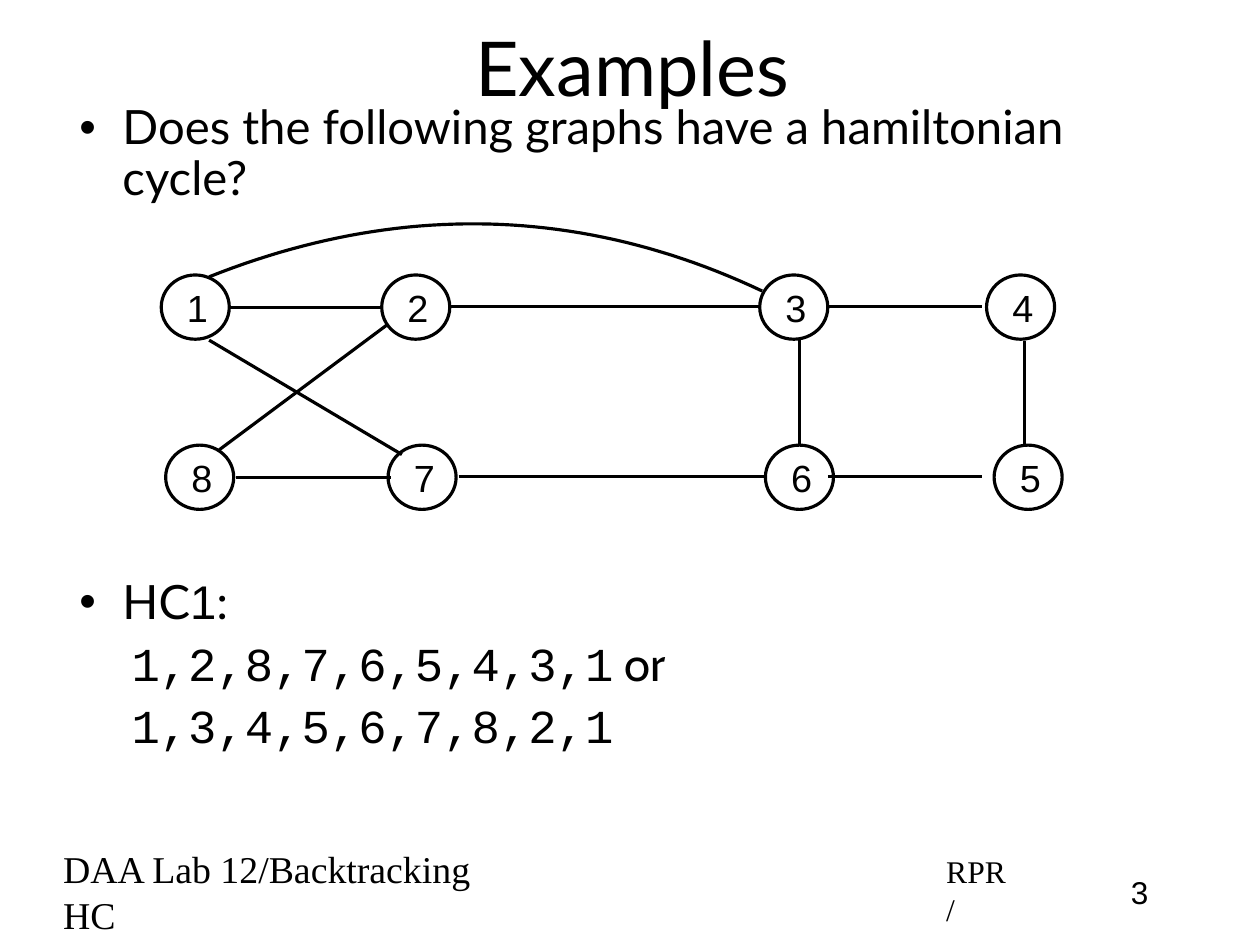
from lxml import etree
from pptx import Presentation
from pptx import util as u
from pptx.dml.color import RGBColor
from pptx.enum import shapes, text
from pptx.oxml.ns import qn

COLORS = {"ink": "000000", "paper": "FFFFFF"}
LEFT, CENTER = text.PP_ALIGN.LEFT, text.PP_ALIGN.CENTER
TOP, MIDDLE = text.MSO_ANCHOR.TOP, text.MSO_ANCHOR.MIDDLE


class GraphSlide:
    """Style and drawing methods for a slide on a grid of 100 columns by 100 rows."""

    def __init__(self, presentation):
        self.slide = presentation.slides.add_slide(presentation.slide_layouts[3])
        self.column = presentation.slide_width / 100
        self.row = presentation.slide_height / 100
        self.ink = RGBColor.from_string(COLORS["ink"])
        fill = self.slide.background.fill
        fill.solid()
        fill.fore_color.rgb = RGBColor.from_string(COLORS["paper"])

    def point(self, column, row):
        return u.Emu(round(column * self.column)), u.Emu(round(row * self.row))

    def box(self, left, top, width, height):
        return (*self.point(left, top), *self.point(width, height))

    def outline(self, shape):
        shape.line.color.rgb = self.ink
        shape.line.width = u.Pt(2)

    def frame(self, shape, anchor):
        frame = shape.text_frame
        frame.word_wrap = True
        frame.auto_size = text.MSO_AUTO_SIZE.NONE
        frame.vertical_anchor = anchor
        frame.margin_left = frame.margin_right = u.Inches(0.06)
        frame.margin_top = frame.margin_bottom = u.Inches(0.06)
        return frame

    def format_run(self, run, font, size):
        run.font.name = font
        run.font.size = u.Pt(size)
        run.font.color.rgb = self.ink

    def indent(self, paragraph, margin, first_line):
        properties = paragraph._p.get_or_add_pPr()
        properties.set("marL", str(u.Inches(margin)))
        properties.set("indent", str(u.Inches(first_line)))
        return properties

    def set_words(self, shape, words, font, size, align, anchor, margin=0.04):
        frame = self.frame(shape, anchor)
        frame.text = words
        paragraph = frame.paragraphs[0]
        paragraph.alignment = align
        self.indent(paragraph, margin, 0)
        self.format_run(paragraph.runs[0], font, size)

    def place(self, shape, box):
        shape.left, shape.top, shape.width, shape.height = self.box(*box)

    def title(self, words, box):
        shape = self.slide.shapes.title
        self.place(shape, box)
        self.set_words(shape, words, "Lato", 48, CENTER, MIDDLE)

    def bullets(self, index, box, lines):
        shape = self.slide.placeholders[index]
        self.place(shape, box)
        frame = self.frame(shape, TOP)
        for number, (level, runs) in enumerate(lines):
            paragraph = frame.add_paragraph() if number else frame.paragraphs[0]
            paragraph.level = level
            paragraph.line_spacing = 0.9
            paragraph.space_before = u.Pt(7)
            if level:
                properties = self.indent(paragraph, 0, 0.5)
                etree.SubElement(properties, qn("a:buNone"))
            else:
                self.indent(paragraph, 0.42, -0.38)
            for words, font in runs:
                run = paragraph.add_run()
                run.text = words
                self.format_run(run, font, 30)

    def label(self, words, box, font, size, align=LEFT, anchor=MIDDLE, margin=0.04):
        shape = self.slide.shapes.add_textbox(*self.box(*box))
        self.set_words(shape, words, font, size, align, anchor, margin)

    def node(self, name, column, row):
        box = self.box(column - 2.7, row - 3.4, 5.4, 6.8)
        shape = self.slide.shapes.add_shape(shapes.MSO_SHAPE.OVAL, *box)
        shape.shadow.inherit = False
        shape.fill.background()
        self.outline(shape)
        self.set_words(shape, name, "Arial", 24, CENTER, MIDDLE)

    def edge(self, start, end):
        connector = self.slide.shapes.add_connector(
            shapes.MSO_CONNECTOR.STRAIGHT, *self.point(*start), *self.point(*end))
        self.outline(connector)
        etree.SubElement(connector._element.spPr, qn("a:effectLst"))

    def curve(self, controls, steps=48):
        points = []
        for step in range(steps + 1):
            t = step / steps
            weights = ((1 - t) ** 3, 3 * t * (1 - t) ** 2, 3 * t ** 2 * (1 - t), t ** 3)
            points.append(self.point(*(
                sum(w * value for w, value in zip(weights, axis))
                for axis in zip(*controls))))
        builder = self.slide.shapes.build_freeform(*points[0])
        builder.add_line_segments(points[1:], close=False)
        shape = builder.convert_to_shape()
        shape.shadow.inherit = False
        shape.fill.background()
        self.outline(shape)


presentation = Presentation()
presentation.slide_width = u.Inches(11.11)
presentation.slide_height = u.Inches(8.33)
graph = GraphSlide(presentation)

graph.title("Examples", (7.5, 0.8, 85, 12.5))
graph.bullets(1, (5.4, 10.3, 89.1, 8.5), [
    (0, [("Does the following graphs have a hamiltonian cycle?", "Lato")]),
])

NODE_ROWS = {
    32.5: {"1": 15.5, "2": 33, "3": 63, "4": 81},
    50.5: {"8": 15.85, "7": 33.5, "6": 63.45, "5": 81.6},
}
for row, nodes in NODE_ROWS.items():
    for name, column in nodes.items():
        graph.node(name, column, row)

EDGES = [
    ((18.1, 32.5), (30.3, 32.5)),
    ((35.7, 32.4), (60.2, 32.4)),
    ((65.7, 32.4), (77.9, 32.4)),
    ((18.7, 50.5), (31, 50.5)),
    ((36.4, 50.4), (60.8, 50.4)),
    ((65.7, 50.4), (77.9, 50.4)),
    ((63.45, 35.9), (63.45, 47)),
    ((81.3, 36.1), (81.3, 47.3)),
    ((16.6, 36), (31.9, 48.1)),
    ((17.4, 47.6), (30.8, 34.3)),
]
for start, end in EDGES:
    graph.edge(start, end)
graph.curve([(16.6, 29.3), (31.5, 21.4), (46.2, 21.8), (60.5, 30.8)])

graph.bullets(2, (5.4, 60.5, 89.1, 28.8), [
    (0, [("HC", "Lato"), ("1", "Arial"), (":", "Lato")]),
    (1, [("1,2,8,7,6,5,4,3,1", "Courier New"), (" or", "Cabin")]),
    (1, [("1,3,4,5,6,7,8,2,1", "Courier New")]),
])

graph.label("DAA Lab 12/Backtracking HC", (4.1, 91.5, 37.8, 5.6), "Times New Roman", 24)
graph.label("RPR/", (74.2, 91.7, 6.6, 5), "Times New Roman", 20)
graph.label("3", (87.5, 91.7, 5.9, 5), "Arial", 20, CENTER, TOP, 0)

presentation.save("out.pptx")
